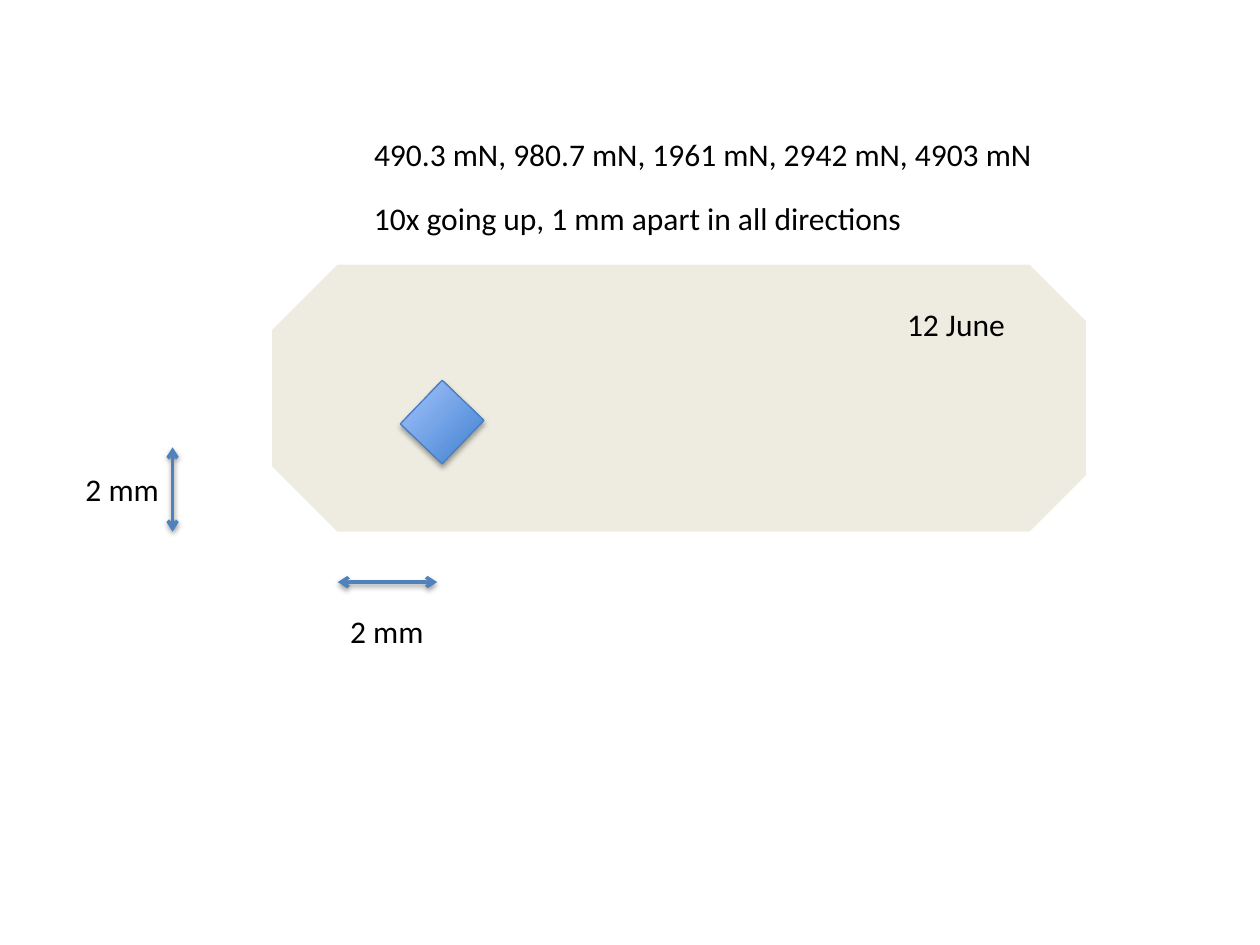
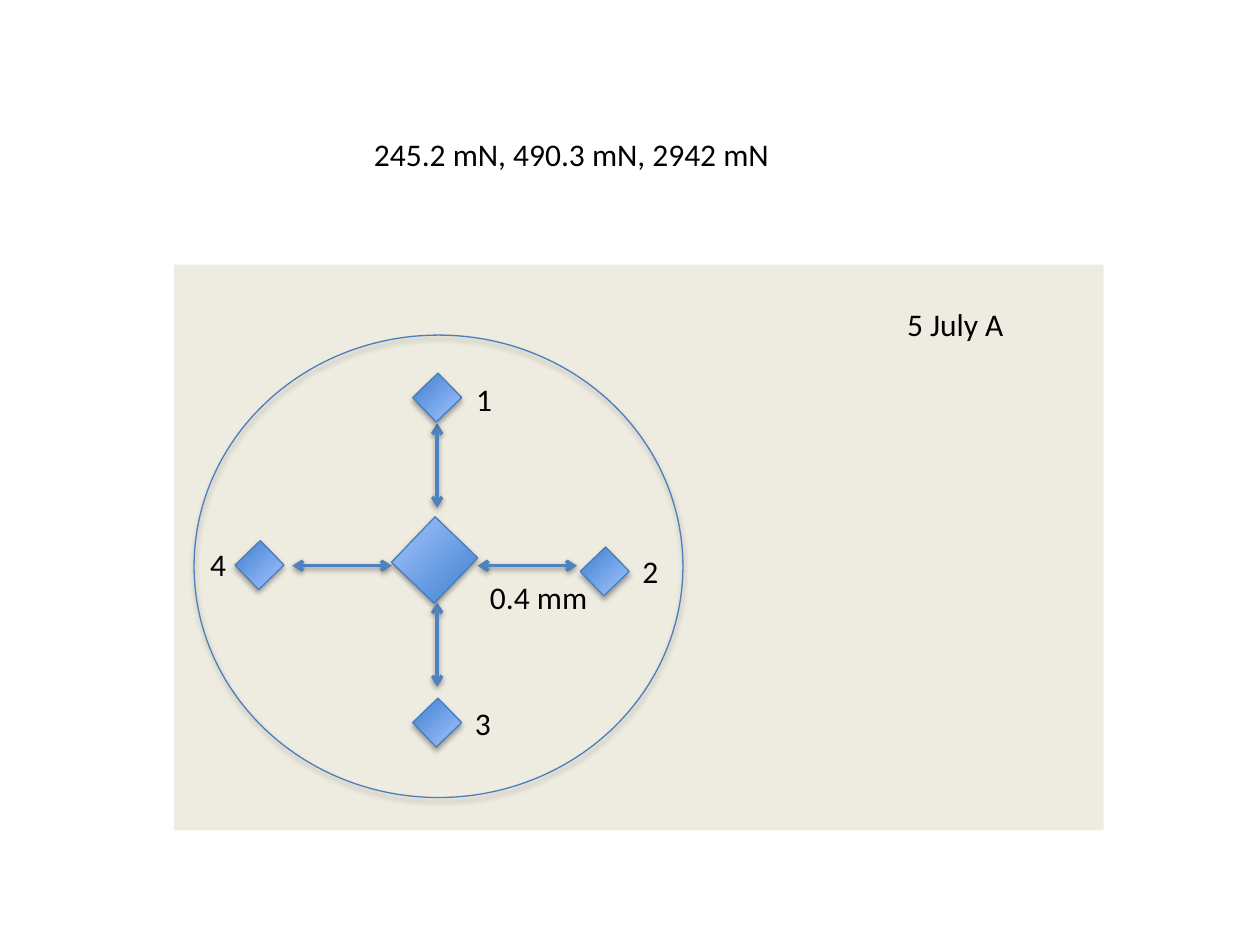
from pptx import Presentation
from pptx.dml.color import RGBColor
from pptx.enum.shapes import MSO_CONNECTOR as Connector, MSO_SHAPE as Shape
from pptx.enum.text import MSO_AUTO_SIZE as AutoSize
from pptx.oxml import parse_xml
from pptx.oxml.ns import nsdecls
from pptx.util import Inches, Pt

COLUMNS, ROWS = 100, 75
SAND, WHITE, BLACK = "EEECE1", "FFFFFF", "000000"
DEEP_BLUE, PALE_BLUE = "3F80CE", "A4C4FF"
EDGE_BLUE, ARROW_BLUE = "4B7EBC", "4F81BD"


def colour(hex_string):
    return RGBColor.from_string(hex_string)


class Sketch:
    font, text_size, text_height = "Calibri", 18, 4

    def __init__(self):
        self.deck = Presentation()
        self.deck.slide_width = Inches(10)
        self.deck.slide_height = Inches(7.5)
        self.slide = None

    def new_slide(self):
        self.slide = self.deck.slides.add_slide(self.deck.slide_layouts[6])

    def x(self, columns):
        return round(self.deck.slide_width * columns / COLUMNS)

    def y(self, rows):
        return round(self.deck.slide_height * rows / ROWS)

    def cast_shadow(self, item, distance, opacity):
        item._element.spPr.append(parse_xml(
            f'<a:effectLst {nsdecls("a")}><a:outerShdw blurRad="{Pt(3.1)}" '
            f'dist="{Pt(distance)}" dir="5400000" rotWithShape="0">'
            f'<a:srgbClr val="{BLACK}"><a:alpha val="{opacity * 1000}"/></a:srgbClr>'
            '</a:outerShdw></a:effectLst>'))

    def figure(self, preset, left, top, width, height, fill=None, edge=None, turn=0):
        figure = self.slide.shapes.add_shape(
            preset, self.x(left), self.y(top), self.x(width), self.y(height))
        figure.shadow.inherit = False
        figure.rotation = turn
        if fill:
            figure.fill.solid()
            figure.fill.fore_color.rgb = colour(fill)
        else:
            figure.fill.background()
        if edge:
            figure.line.color.rgb = colour(edge)
            figure.line.width = Pt(0.75)
        else:
            figure.line.fill.background()
        return figure

    def shaded(self, *place, **style):
        figure = self.figure(*place, edge=EDGE_BLUE, **style)
        figure.shadow.inherit = True
        self.cast_shadow(figure, 1.8, 35)
        return figure

    def indent(self, left, top, width, height, turn, flipped=False):
        mark = self.shaded(Shape.RECTANGLE, left, top, width, height, turn=turn)
        mark.fill.gradient()
        mark.fill.gradient_angle = 90
        for stop, shade in zip(mark.fill.gradient_stops, (DEEP_BLUE, PALE_BLUE)):
            stop.color.rgb = colour(shade)
        if flipped:
            for axis in ("flipH", "flipV"):
                mark._element.spPr.xfrm.set(axis, "1")

    def distance(self, x1, y1, x2, y2):
        arrow = self.slide.shapes.add_connector(
            Connector.STRAIGHT, self.x(x1), self.y(y1), self.x(x2), self.y(y2))
        arrow.line.color.rgb = colour(ARROW_BLUE)
        arrow.line.width = Pt(2)
        outline = arrow.line._get_or_add_ln()
        for end in ("headEnd", "tailEnd"):
            outline.append(parse_xml(f'<a:{end} {nsdecls("a")} type="arrow"/>'))
        self.cast_shadow(arrow, 1.6, 38)

    def label(self, words, left, top, width):
        box = self.slide.shapes.add_textbox(
            self.x(left), self.y(top), self.x(width), self.y(self.text_height))
        frame = box.text_frame
        frame.text = words
        frame.word_wrap = False
        frame.auto_size = AutoSize.SHAPE_TO_FIT_TEXT
        font = frame.paragraphs[0].runs[0].font
        font.name, font.size = self.font, Pt(self.text_size)
        font.color.rgb = colour(BLACK)

    def heading(self, forces, width, date):
        self.label(forces, 28.7, 10.25, width)
        self.label(date, 71, 23.7, 9.9)


sketch = Sketch()

sketch.new_slide()
sketch.figure(Shape.RECTANGLE, 21.6, 21, 64.6, 21.2, SAND)
for left, top, turn in ((20, 35.5, 0), (79.8, 19, 180), (20, 19, 90), (79.8, 35.5, 270)):
    sketch.figure(Shape.RIGHT_TRIANGLE, left, top, 8.7, 8.7, WHITE, WHITE, turn)
sketch.indent(32.7, 31.2, 4.8, 4.6, 313.8)
sketch.distance(26.8, 46.2, 34.7, 46.2)
sketch.distance(13.7, 42.2, 13.7, 35.5)
for left, top in ((26.8, 48.1), (5.8, 36.8)):
    sketch.label("2 mm", left, top, 7.9)
sketch.label("10x going up, 1 mm apart in all directions", 28.7, 15.3, 44.4)
sketch.heading("490.3 mN, 980.7 mN, 1961 mN, 2942 mN, 4903 mN", 54.8, "12 June")

sketch.new_slide()
sketch.figure(Shape.RECTANGLE, 13.8, 21, 73.8, 44.9, SAND)
sketch.indent(32, 42.1, 5, 4.7, 313.8)
for left in (23.2, 37.9):
    sketch.distance(left, 44.9, left + 7.9, 44.9)
for bottom in (40.3, 54.5):
    sketch.distance(34.7, bottom, 34.7, bottom - 6.7)
neighbours = (
    ("1", 33.3, 30.2, 36.8, 29.7),
    ("2", 46.6, 44, 50, 43.3),
    ("3", 33.3, 56, 36.7, 55.4),
    ("4", 19.2, 43.5, 15.7, 42.8),
)
for number, left, top, label_left, label_top in neighbours:
    sketch.indent(left, top, 2.8, 2.7, 316, flipped=True)
    sketch.label(number, label_left, label_top, 3.3)
sketch.shaded(Shape.OVAL, 15.4, 26.6, 38.8, 36.7)
sketch.label("0.4 mm", 37.9, 45.4, 9.8)
sketch.heading("245.2 mN, 490.3 mN, 2942 mN", 34.3, "5 July A")

sketch.deck.save("out.pptx")
